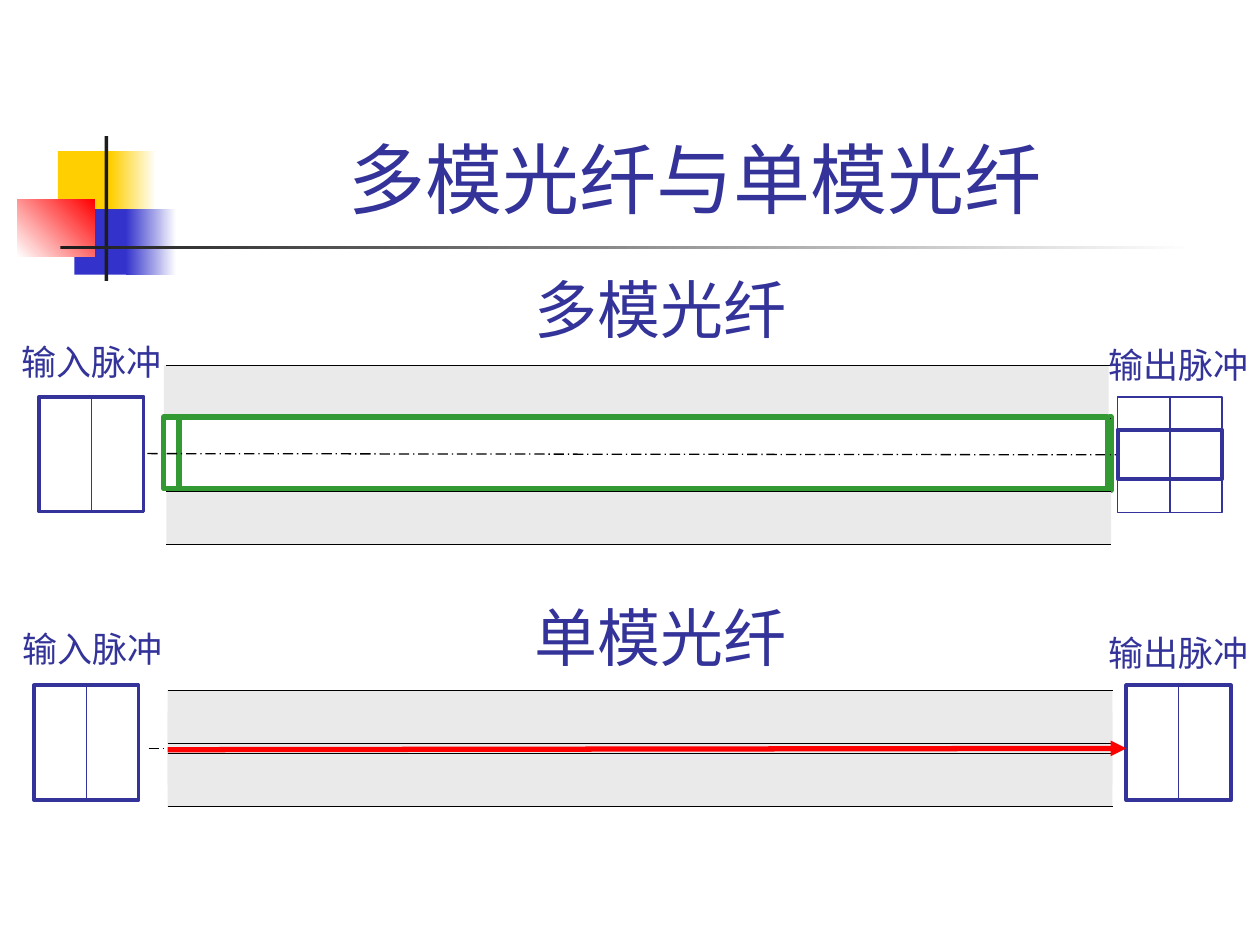
from pptx import Presentation
from pptx.dml.color import RGBColor
from pptx.enum.dml import MSO_LINE
from pptx.enum.shapes import MSO_CONNECTOR, MSO_SHAPE
from pptx.enum.text import MSO_ANCHOR as Anchor, MSO_AUTO_SIZE as AutoSize, PP_ALIGN as Align
from pptx.oxml.ns import qn
from pptx.util import Inches, Pt
from lxml.etree import SubElement

THEME = {
    "ink": "333399", "black": "000000", "white": "FFFFFF", "cladding": "EAEAEA",
    "mode": "339933", "ray": "FF0000", "gold": "FFCF01", "blue": "3333CC", "dark": "1C1C1C",
    "title": 44, "heading": 36, "label": 20,
    "thin": 0.75, "medium": 2.25, "thick": 3,
    "main_font": "Arial", "label_font": "Noto Sans CJK SC",
}

presentation = Presentation()
presentation.slide_width = Inches(10)
presentation.slide_height = Inches(7.5)
slide = presentation.slides.add_slide(presentation.slide_layouts[6])


def add_text(text, box, size="label", font="main_font", align=Align.LEFT,
             anchor=Anchor.TOP, wrap=False):
    shape = slide.shapes.add_textbox(*map(Inches, box))
    frame = shape.text_frame
    frame.word_wrap = wrap
    frame.auto_size = AutoSize.NONE if wrap else AutoSize.SHAPE_TO_FIT_TEXT
    frame.vertical_anchor = anchor
    paragraph = frame.paragraphs[0]
    paragraph.alignment = align
    run = paragraph.add_run()
    run.text = text
    run.font.size = Pt(THEME[size])
    run.font.color.rgb = RGBColor.from_string(THEME["ink"])
    run.font.name = THEME[font]
    SubElement(run.font._element, qn("a:ea"), typeface=THEME[font])


def draw(box, fill=None, line=None, width="thin", angle=0, is_line=False, dash=None, arrow=False):
    if is_line:
        shape = slide.shapes.add_connector(MSO_CONNECTOR.STRAIGHT, *map(Inches, box))
        SubElement(shape._element.spPr, qn("a:effectLst"))
    else:
        shape = slide.shapes.add_shape(MSO_SHAPE.RECTANGLE, *map(Inches, box))
        shape.shadow.inherit = False
        if isinstance(fill, tuple):
            shape.fill.gradient()
            shape.fill.gradient_angle = angle
            for stop, color in zip(shape.fill.gradient_stops, fill):
                stop.color.rgb = RGBColor.from_string(THEME[color])
        elif fill:
            shape.fill.solid()
            shape.fill.fore_color.rgb = RGBColor.from_string(THEME[fill])
        else:
            shape.fill.background()
    if line:
        shape.line.color.rgb = RGBColor.from_string(THEME[line])
        shape.line.width = Pt(THEME[width])
        if dash:
            shape.line.dash_style = dash
        if arrow:
            SubElement(shape.line._get_or_add_ln(), qn("a:tailEnd"), type="triangle")
    else:
        shape.line.fill.background()


for box, fill, angle in [
    ((0.46, 1.2, 0.48, 0.52), "gold", 0),
    ((0.88, 1.2, 0.36, 0.52), ("gold", "white"), 0),
    ((0.59, 1.66, 0.46, 0.52), "blue", 0),
    ((1, 1.66, 0.4, 0.52), ("blue", "white"), 0),
    ((0.14, 1.58, 0.61, 0.46), ("white", "ray"), 45),
    ((0.83, 1.08, 0.03, 1.15), "dark", 0),
    ((0.48, 1.95, 9, 0.03), ("dark", "white"), 0),
]:
    draw(box, fill=fill, angle=angle)

add_text("多模光纤与单模光纤", (1.26, 0.23, 8.52, 1.6), size="title",
         align=Align.CENTER, anchor=Anchor.BOTTOM, wrap=True)

draw((1.33, 5.65, 7.5, 0.58), fill="cladding")
draw((1.42, 3.31, 7.4, 0.58), line="mode", width="thick")

fiber_length, cladding_height = 7.5, 0.42
for left, upper_left, upper_top, lower_top, axis in [
    (1.33, 1.33, 5.48, 5.98, (1.18, 5.94, 8.95, 5.94)),
    (1.32, 1.3, 2.9, 3.9, (1.17, 3.6, 8.94, 3.61)),
]:
    for band_left, top in [(upper_left, upper_top), (left, lower_top)]:
        draw((band_left, top, fiber_length, cladding_height), fill="cladding")
    for top in (upper_top, lower_top):
        for edge in (top, top + cladding_height):
            draw((left, edge, left + fiber_length, edge), line="black", is_line=True)
    draw(axis, line="black", is_line=True, dash=MSO_LINE.LONG_DASH_DOT)

pulse_width, pulse_height = 0.83, 0.92
for left, top, outline_top, outline_height, label, label_left, label_top in [
    (0.27, 5.43, 5.44, 0.91, "输入脉冲", 0.08, 4.93),
    (8.94, 5.43, 5.44, 0.91, "输出脉冲", 8.7, 4.96),
    (0.31, 3.15, 3.15, 0.91, "输入脉冲", 0.07, 2.65),
    (8.87, 3.15, 3.41, 0.39, "输出脉冲", 8.7, 2.68),
]:
    middle = left + pulse_width / 2
    draw((left, top, pulse_width, pulse_height), fill="white", line="ink")
    draw((middle, top, middle, top + pulse_height), line="ink", is_line=True)
    draw((left, outline_top, pulse_width, outline_height), line="ink", width="medium")
    add_text(label, (label_left, label_top, 1.31, 0.44), font="label_font")

draw((1.33, 5.95, 8.94, 5.94), line="ray", width="thick", is_line=True, arrow=True)
draw((1.3, 3.31, 7.49, 0.57), line="mode", width="thick")

for heading, top in [("单模光纤", 4.7), ("多模光纤", 2.1)]:
    add_text(heading, (4.14, top, 2.2, 0.7), size="heading")

presentation.save("out.pptx")
